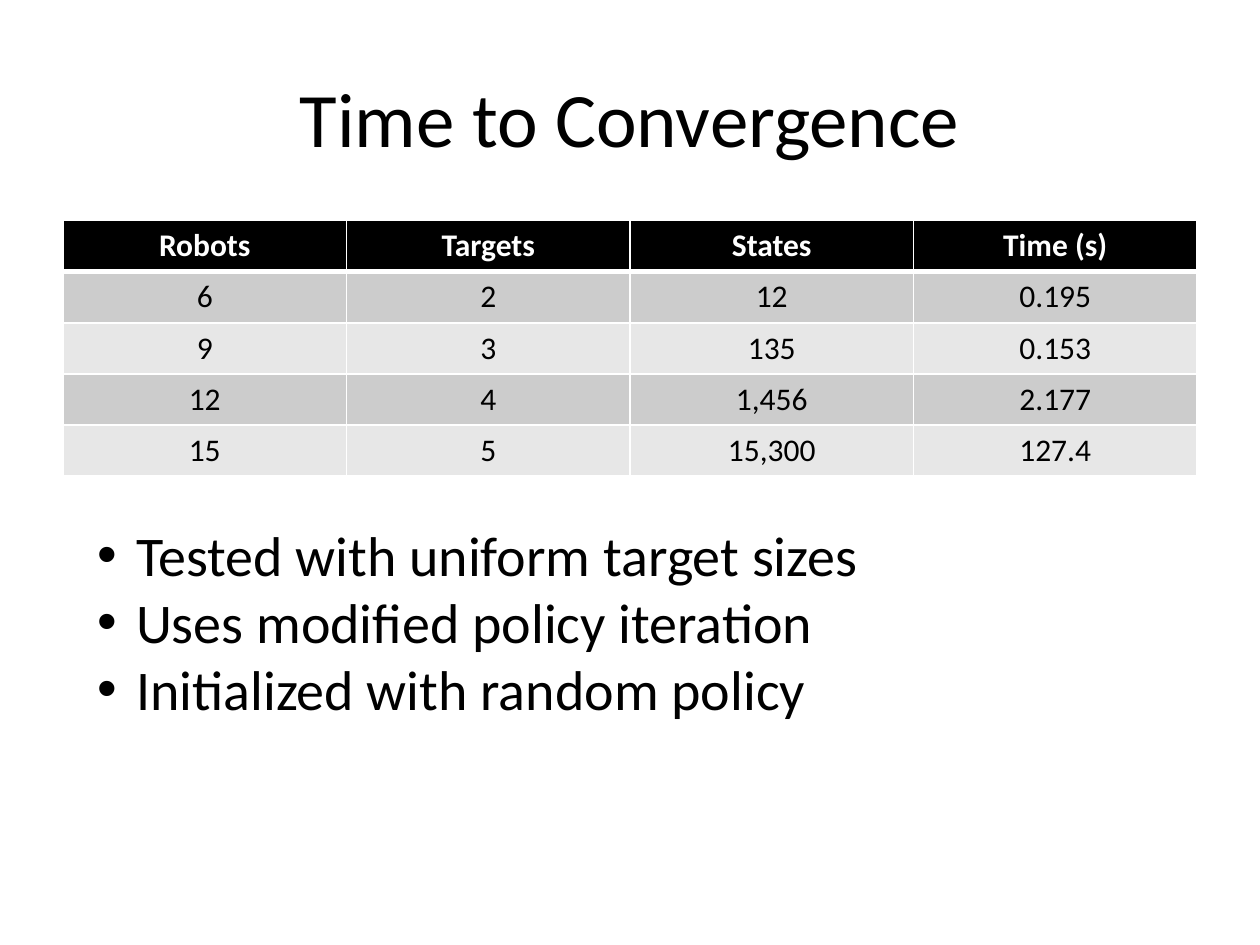
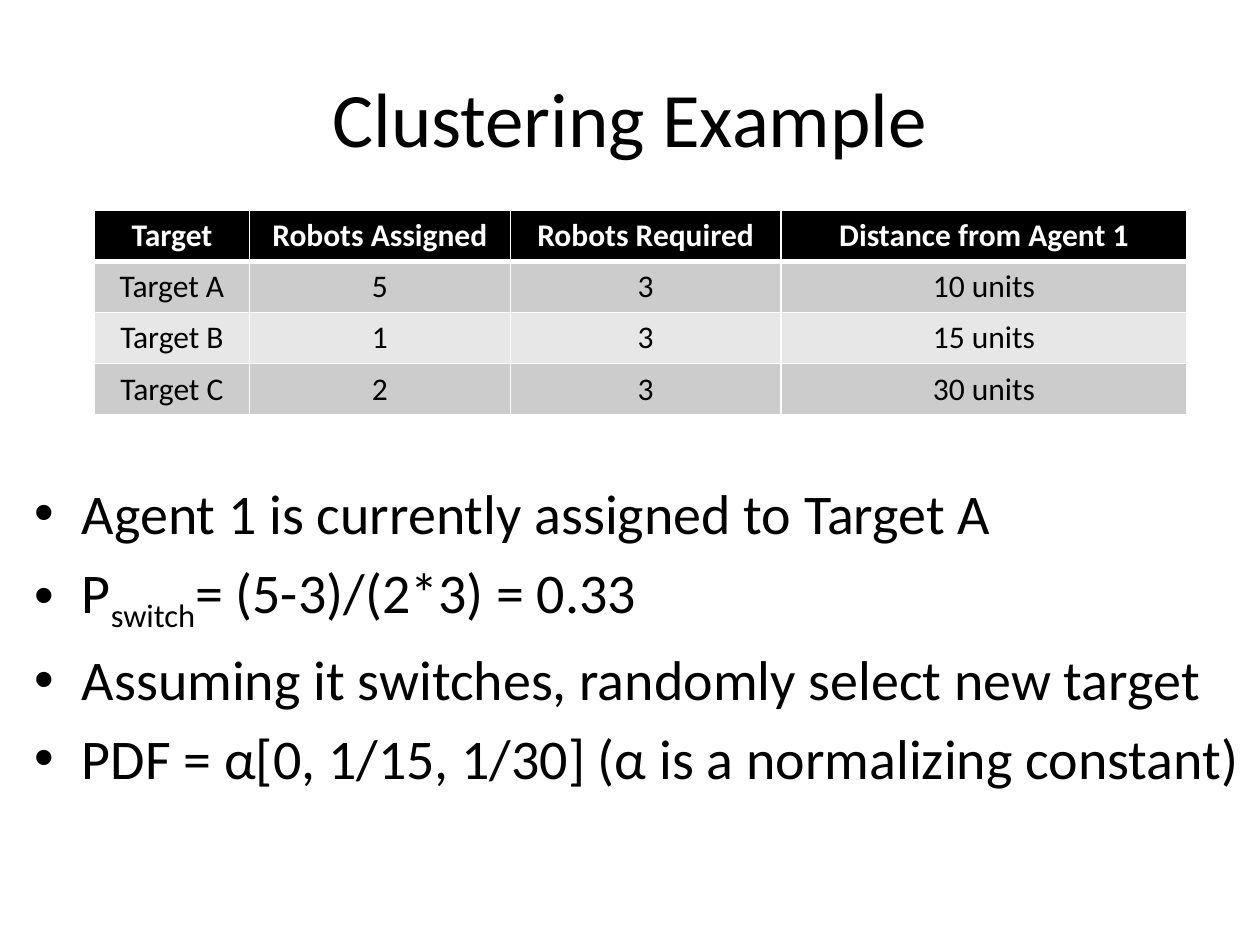
from lxml import etree
from pptx import Presentation
from pptx.dml.color import RGBColor
from pptx.enum import text
from pptx.oxml.ns import qn
from pptx.util import Inches, Pt

COLORS = {"ink": "000000", "paper": "FFFFFF", "odd_row": "CCCCCC", "even_row": "E7E7E7"}
FONT = "Calibri"
TITLE_BOX = (0.5, 0.3, 9, 1.25)


def color(name):
    """Return the named colour."""
    return RGBColor.from_string(COLORS[name])


def add_span(para, words, size, ink="ink", bold=False, baseline=0):
    """Add one formatted run to a paragraph."""
    span = para.add_run()
    span.text = words
    span.font.name, span.font.size, span.font.bold = FONT, Pt(size), bold
    span.font.color.rgb = color(ink)
    if baseline:
        span._r.get_or_add_rPr().set("baseline", str(baseline * 1000))


def place(shape, box):
    """Move a shape to a box given in inches."""
    shape.left, shape.top, shape.width, shape.height = map(Inches, box)


def add_page(deck, title):
    """Add a page with the shared title style."""
    page = deck.slides.add_slide(deck.slide_layouts[1])
    heading = page.shapes.title
    place(heading, TITLE_BOX)
    frame = heading.text_frame
    frame.auto_size = text.MSO_AUTO_SIZE.NONE
    frame.vertical_anchor = text.MSO_ANCHOR.MIDDLE
    para = frame.paragraphs[0]
    para.alignment = text.PP_ALIGN.CENTER
    add_span(para, title, 44)
    return page


def add_bullets(page, box, items, indent, gap=0):
    """Fill the body placeholder; each item is a list of (words, baseline)."""
    body = page.placeholders[1]
    place(body, box)
    frame = body.text_frame
    frame.auto_size = text.MSO_AUTO_SIZE.NONE
    for index, item in enumerate(items):
        para = frame.add_paragraph() if index else frame.paragraphs[0]
        para.space_before = Pt(gap)
        properties = para._p.get_or_add_pPr()
        properties.set("marL", str(Inches(indent)))
        properties.set("indent", str(-Inches(indent)))
        etree.SubElement(properties, qn("a:buFont"), typeface="Arial")
        etree.SubElement(properties, qn("a:buChar"), char="•")
        for words, baseline in item:
            add_span(para, words, 32, baseline=baseline)


def add_borders(cell, top, bottom):
    """Draw white cell borders, with top and bottom widths in points."""
    properties = cell._tc.get_or_add_tcPr()
    for side, width in (("L", 1), ("R", 1), ("T", top), ("B", bottom)):
        line = etree.SubElement(properties, qn(f"a:ln{side}"), w=str(Pt(width)))
        fill = etree.SubElement(line, qn("a:solidFill"))
        etree.SubElement(fill, qn("a:srgbClr"), val=COLORS["paper"])


def add_data_table(page, box, widths, rows):
    """Add a banded table with a dark header row."""
    table = page.shapes.add_table(len(rows), len(widths), *map(Inches, box)).table
    for column, width in zip(table.columns, widths):
        column.width = Inches(width)
    for row_index, values in enumerate(rows):
        header = row_index == 0
        band = "ink" if header else "odd_row" if row_index % 2 else "even_row"
        for column_index, value in enumerate(values):
            cell = table.cell(row_index, column_index)
            add_borders(cell, 3 if row_index == 1 else 1, 3 if header else 1)
            cell.fill.solid()
            cell.fill.fore_color.rgb = color(band)
            para = cell.text_frame.paragraphs[0]
            para.alignment = text.PP_ALIGN.CENTER
            add_span(para, value, 18, "paper" if header else "ink", header)


def add_convergence(deck):
    """Build the page on convergence times."""
    page = add_page(deck, "Time to Convergence")
    add_data_table(page, (0.5, 1.75, 9, 2.03), [9 / 4] * 4, [
        ("Robots", "Targets", "States", "Time (s)"),
        ("6", "2", "12", "0.195"),
        ("9", "3", "135", "0.153"),
        ("12", "4", "1,456", "2.177"),
        ("15", "5", "15,300", "127.4"),
    ])
    add_bullets(page, (0.67, 4.08, 8.92, 1.72), [
        [("Tested with uniform target sizes", 0)],
        [("Uses modified policy iteration", 0)],
        [("Initialized with random policy", 0)],
    ], indent=0.31)


def add_clustering(deck):
    """Build the page on the clustering example."""
    page = add_page(deck, "Clustering Example")
    add_bullets(page, (0.17, 3.75, 9.83, 2.95), [
        [("Agent 1 is currently assigned to Target A", 0)],
        [("P", 0), ("switch", -25), ("= (5-3)/(2*3) = 0.33", 0)],
        [("Assuming it switches, randomly select new target", 0)],
        [("PDF = α[0, 1/15, 1/30] (α is a normalizing constant)", 0)],
    ], indent=0.38, gap=6.4)
    add_data_table(page, (0.75, 1.67, 8.67, 1.62), (1.23, 2.07, 2.15, 3.22), [
        ("Target", "Robots Assigned", "Robots Required", "Distance from Agent 1"),
        ("Target A", "5", "3", "10 units"),
        ("Target B", "1", "3", "15 units"),
        ("Target C", "2", "3", "30 units"),
    ])


def main():
    """Build and save the deck."""
    deck = Presentation()
    deck.slide_width, deck.slide_height = Inches(10), Inches(7.5)
    add_convergence(deck)
    add_clustering(deck)
    deck.save("out.pptx")


if __name__ == "__main__":
    main()
